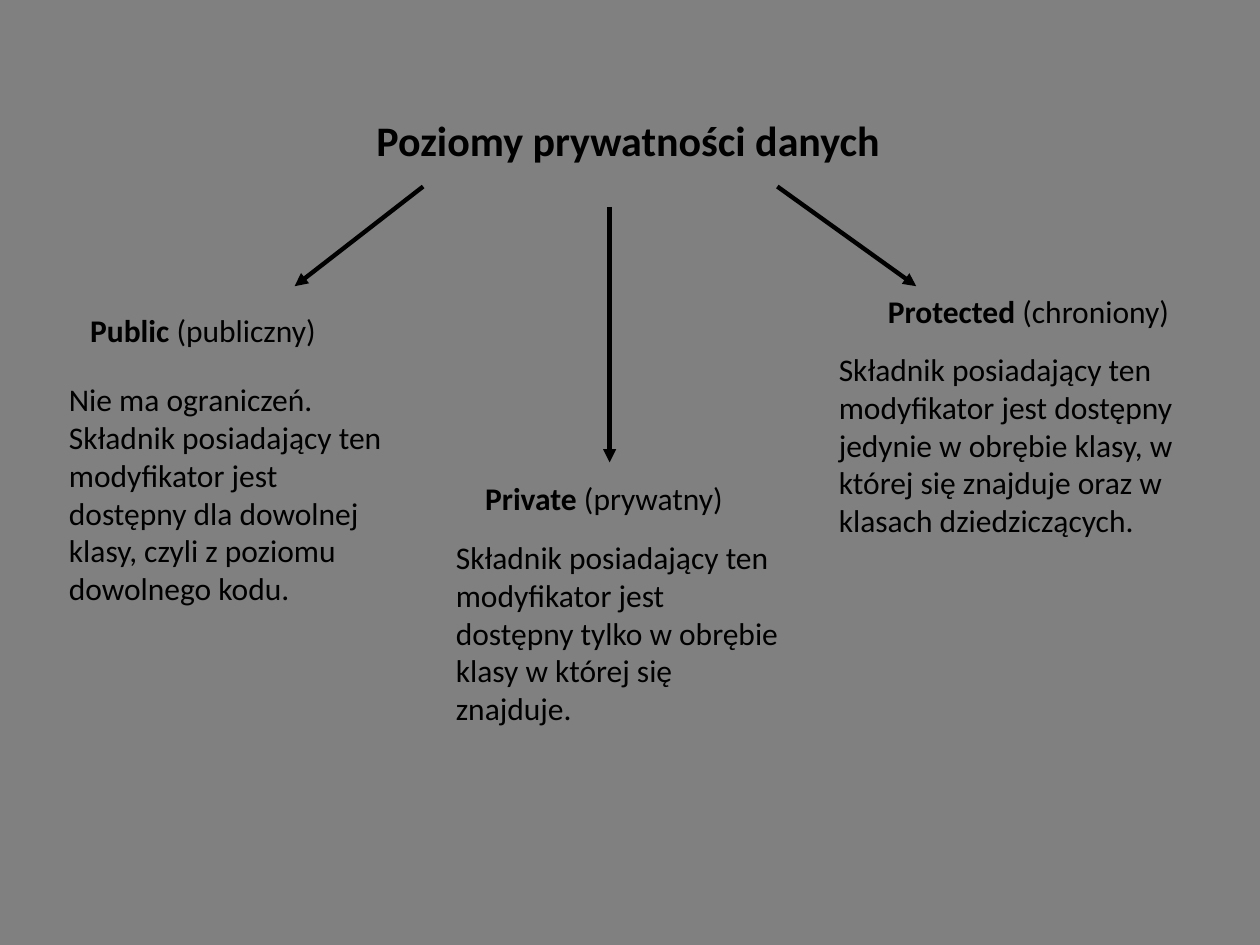
"""Build a slide on the three levels of data privacy."""
from dataclasses import dataclass

from lxml.etree import SubElement
from pptx import Presentation
from pptx.dml.color import RGBColor
from pptx.enum.shapes import MSO_CONNECTOR
from pptx.enum.text import MSO_AUTO_SIZE
from pptx.oxml.ns import qn
from pptx.util import Cm, Pt


@dataclass(frozen=True)
class Theme:
    background: RGBColor = RGBColor(0x80, 0x80, 0x80)
    ink: RGBColor = RGBColor(0, 0, 0)
    font: str = "Calibri"
    title: float = 24
    body: float = 18
    line: float = 2.5


def add_run(p, text, *, font, size, color, bold=False):
    r = p.add_run()
    r.text = text
    r.font.name = font
    r.font.size = Pt(size)
    r.font.color.rgb = color
    r.font.bold = bold


class Canvas:
    def __init__(self, slide, theme):
        self.slide = slide
        self.theme = theme
        fill = slide.background.fill
        fill.solid()
        fill.fore_color.rgb = theme.background

    def text(self, box, *runs, size=None, wrap=False):
        t = self.theme
        tf = self.slide.shapes.add_textbox(*map(Cm, box)).text_frame
        tf.word_wrap = wrap
        tf.auto_size = MSO_AUTO_SIZE.SHAPE_TO_FIT_TEXT
        for text, bold in runs:
            add_run(tf.paragraphs[0], text, font=t.font,
                    size=size or t.body, color=t.ink, bold=bold)

    def arrow(self, start, end):
        sp = self.slide.shapes.add_connector(
            MSO_CONNECTOR.STRAIGHT, *map(Cm, start + end))
        sp.line.color.rgb = self.theme.ink
        sp.line.width = Pt(self.theme.line)
        SubElement(sp.line._get_or_add_ln(), qn("a:tailEnd"), type="triangle")
        SubElement(sp._element.spPr, qn("a:effectLst"))


LEVELS = [
    ("Public", " (publiczny)", (1.57, 6.15, 5.11, 1.02),
     "Nie ma ograniczeń. Składnik posiadający ten modyfikator jest dostępny "
     "dla dowolnej klasy, czyli z poziomu dowolnego kodu.",
     (1.14, 7.54, 6.93, 4.88), (8.53, 3.76), (5.94, 5.77)),
    ("Private", " (prywatny)", (9.53, 9.53, 5.36, 1.02),
     "Składnik posiadający ten modyfikator jest dostępny tylko w obrębie "
     "klasy w której się znajduje.",
     (8.94, 10.72, 7.14, 4.11), (12.29, 4.17), (12.29, 9.32)),
    ("Protected", " (chroniony)", (17.65, 5.77, 6.25, 1.02),
     "Składnik posiadający ten modyfikator jest dostępny jedynie w obrębie "
     "klasy, w której się znajduje oraz w klasach dziedziczących.",
     (16.66, 6.93, 7.95, 4.11), (15.67, 3.76), (18.47, 5.77)),
]

prs = Presentation()
prs.slide_width, prs.slide_height = Cm(25.4), Cm(19.05)
theme = Theme()
s = Canvas(prs.slides.add_slide(prs.slide_layouts[6]), theme)
s.text((7.34, 2.18, 10.74, 1.27), ("Poziomy prywatności danych", True),
       size=theme.title)
for name, meaning, heading_box, description, body_box, start, end in LEVELS:
    s.text(heading_box, (name, True), (meaning, False))
    s.text(body_box, (description, False), wrap=True)
    s.arrow(start, end)
prs.save("out.pptx")
